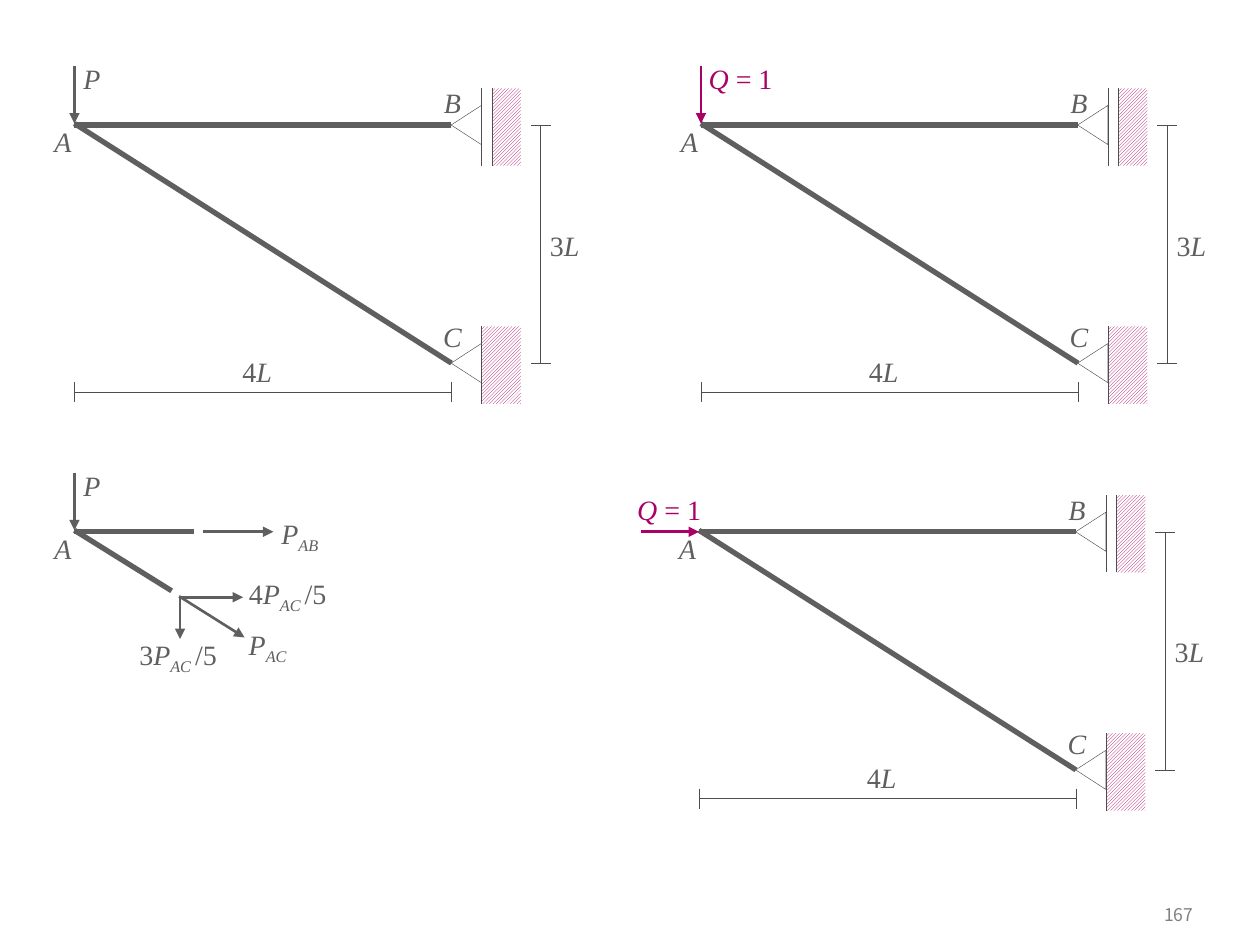
from lxml.etree import SubElement
from pptx import Presentation
from pptx.dml.color import RGBColor
from pptx.enum.dml import MSO_PATTERN
from pptx.enum.shapes import MSO_CONNECTOR, MSO_SHAPE
from pptx.enum.text import MSO_ANCHOR, MSO_AUTO_SIZE, PP_ALIGN
from pptx.oxml.ns import qn
from pptx.util import Cm, Pt

COLORS = {"member": "5F5F5F", "thin": "4D4D4D", "accent": "A90165",
          "paper": "FFFFFF", "number": "808080"}
FONT = "Times New Roman"
SPAN, RISE = 7.6, 4.8          # the 4L and 3L lengths, in cm
LABEL_HEIGHT = 0.69


def color(name):
    return RGBColor.from_string(COLORS[name])


class Diagram:
    """A group of shapes placed relative to joint A, in cm."""

    def __init__(self, slide, left, top):
        self.shapes = slide.shapes.add_group_shape().shapes
        self.left, self.top = left, top

    def point(self, x, y):
        return Cm(self.left + x), Cm(self.top + y)

    def line(self, start, end, color_name="thin", width=0.25, arrow=False):
        connector = self.shapes.add_connector(
            MSO_CONNECTOR.STRAIGHT, *self.point(*start), *self.point(*end))
        connector.line.color.rgb = color(color_name)
        connector.line.width = Pt(width)
        properties = connector._element.spPr
        if arrow:
            SubElement(properties.find(qn("a:ln")), qn("a:tailEnd"), type="triangle")
        SubElement(properties, qn("a:effectLst"))

    def member(self, start, end):
        self.line(start, end, "member", 3)

    def arrow(self, start, end, color_name="member"):
        self.line(start, end, color_name, 1.5, arrow=True)

    def label(self, x, y, width, parts, color_name="member"):
        """Each part is (style, text): n upright, i italic, s italic subscript."""
        box = self.shapes.add_textbox(*self.point(x, y), Cm(width), Cm(LABEL_HEIGHT))
        frame = box.text_frame
        frame.margin_left = frame.margin_right = 0
        frame.margin_top = frame.margin_bottom = 0
        frame.word_wrap = True
        frame.auto_size = MSO_AUTO_SIZE.SHAPE_TO_FIT_TEXT
        paragraph = frame.paragraphs[0]
        paragraph.alignment = PP_ALIGN.CENTER
        for style, text in parts:
            run = paragraph.add_run()
            run.text = text
            run.font.name, run.font.size = FONT, Pt(16)
            run.font.color.rgb = color(color_name)
            run.font.italic = style != "n"
            if style == "s":
                run.font._element.set("baseline", "-25000")

    def turned_shape(self, kind, center, width, height):
        """Add a shape turned by 270 degrees; width and height are as seen."""
        x, y = center
        shape = self.shapes.add_shape(
            kind, *self.point(x - height / 2, y - width / 2), Cm(height), Cm(width))
        shape.rotation = 270
        shape.shadow.inherit = False
        return shape

    def support(self, x, y, roller=False):
        wall, wall_end, half_height, middle = x + 0.61, x + 1.4, 0.78, y + 0.04
        wall_lines = [wall]
        if roller:
            wall_lines.append(wall + 0.21)
        hatch_start = wall_lines[-1]
        hatch = self.turned_shape(
            MSO_SHAPE.RECTANGLE, ((hatch_start + wall_end) / 2, middle),
            wall_end - hatch_start, 2 * half_height)
        hatch.fill.patterned()
        hatch.fill.pattern = MSO_PATTERN.LIGHT_UPWARD_DIAGONAL
        hatch.fill.fore_color.rgb = color("accent")
        hatch.fill.back_color.rgb = color("paper")
        hatch.line.fill.background()
        for line_x in wall_lines:
            self.line((line_x, middle + half_height), (line_x, middle - half_height))
        pin = self.turned_shape(MSO_SHAPE.ISOSCELES_TRIANGLE, (x + 0.3, y), 0.61, 0.79)
        pin.fill.background()
        pin.line.color.rgb = color("thin")
        pin.line.width = Pt(0.25)

    def dimensions(self):
        across, down, tick = 5.38, 9.4, 0.2
        for x in (0, SPAN):
            self.line((x, across - tick), (x, across + tick))
        self.line((0, across), (SPAN, across))
        for y in (0, RISE):
            self.line((down + tick, y), (down - tick, y))
        self.line((down, 0), (down, RISE))
        self.label(3.2, 4.62, 0.97, [("n", "4"), ("i", "L")])
        self.label(down, 2.08, 0.97, [("n", "3"), ("i", "L")])

    def joint_a(self):
        self.label(-0.61, 0, 0.76, [("i", "A")])

    def down_load(self, width, parts, color_name="member"):
        self.label(0, -1.27, width, parts, color_name)
        self.arrow((0, -1.19), (0, -0.03), color_name)

    def truss(self):
        self.joint_a()
        self.dimensions()
        self.member((0, -0.03), (SPAN, RISE))
        self.member((SPAN, 0), (0, 0))
        self.support(SPAN, 0, roller=True)
        self.support(SPAN, RISE)
        self.label(7.24, -0.79, 0.76, [("i", "B")])
        self.label(7.24, RISE - 0.87, 0.76, [("i", "C")])

    def free_body(self):
        self.joint_a()
        self.member((0, -0.03), (1.96, 1.19))
        self.member((2.41, 0), (0, 0))
        # Member forces and the components of the inclined one
        self.arrow((2.59, 0), (4.01, 0))
        self.arrow((2.11, 1.3), (3.43, 2.13))
        self.arrow((2.11, 1.32), (3.4, 1.32))
        self.arrow((2.13, 1.32), (2.13, 2.16))
        self.label(4.09, -0.3, 0.91, [("i", "P"), ("s", "AB")])
        self.label(3.4, 1.93, 0.99, [("i", "P"), ("s", "AC")])
        for factor, x, y in (("4", 3.4, 0.91), ("3", 1.19, 2.13)):
            self.label(x, y, 1.8, [("n", factor), ("i", "P"), ("s", "AC "), ("n", "/5")])


def add_page_number(slide, number):
    box = slide.shapes.add_textbox(Cm(22.5), Cm(18.01), Cm(1.8), Cm(0.84))
    frame = box.text_frame
    frame.word_wrap = True
    frame.vertical_anchor = MSO_ANCHOR.MIDDLE
    frame.text = number
    paragraph = frame.paragraphs[0]
    paragraph.alignment = PP_ALIGN.RIGHT
    font = paragraph.runs[0].font
    font.name, font.size = "Noto Sans CJK KR", Pt(10)
    font.color.rgb = color("number")


def main():
    presentation = Presentation()
    presentation.slide_width, presentation.slide_height = Cm(25.4), Cm(19.05)
    slide = presentation.slides.add_slide(presentation.slide_layouts[6])
    add_page_number(slide, "167")
    real_load = [("i", "P")]
    unit_load = [("i", "Q"), ("n", " = 1")]

    # Truss under the real load
    loaded = Diagram(slide, 1.5, 2.52)
    loaded.truss()
    loaded.down_load(0.71, real_load)

    # Truss under a vertical unit load
    vertical = Diagram(slide, 14.13, 2.52)
    vertical.truss()
    vertical.down_load(1.6, unit_load, "accent")

    # Truss under a horizontal unit load
    horizontal = Diagram(slide, 14.09, 10.72)
    horizontal.truss()
    horizontal.label(-1.4, -0.79, 1.6, unit_load, "accent")
    horizontal.arrow((-1.17, 0), (0, 0), "accent")

    # Free body of joint A
    joint = Diagram(slide, 1.5, 10.72)
    joint.free_body()
    joint.down_load(0.71, real_load)

    presentation.save("out.pptx")


if __name__ == "__main__":
    main()
